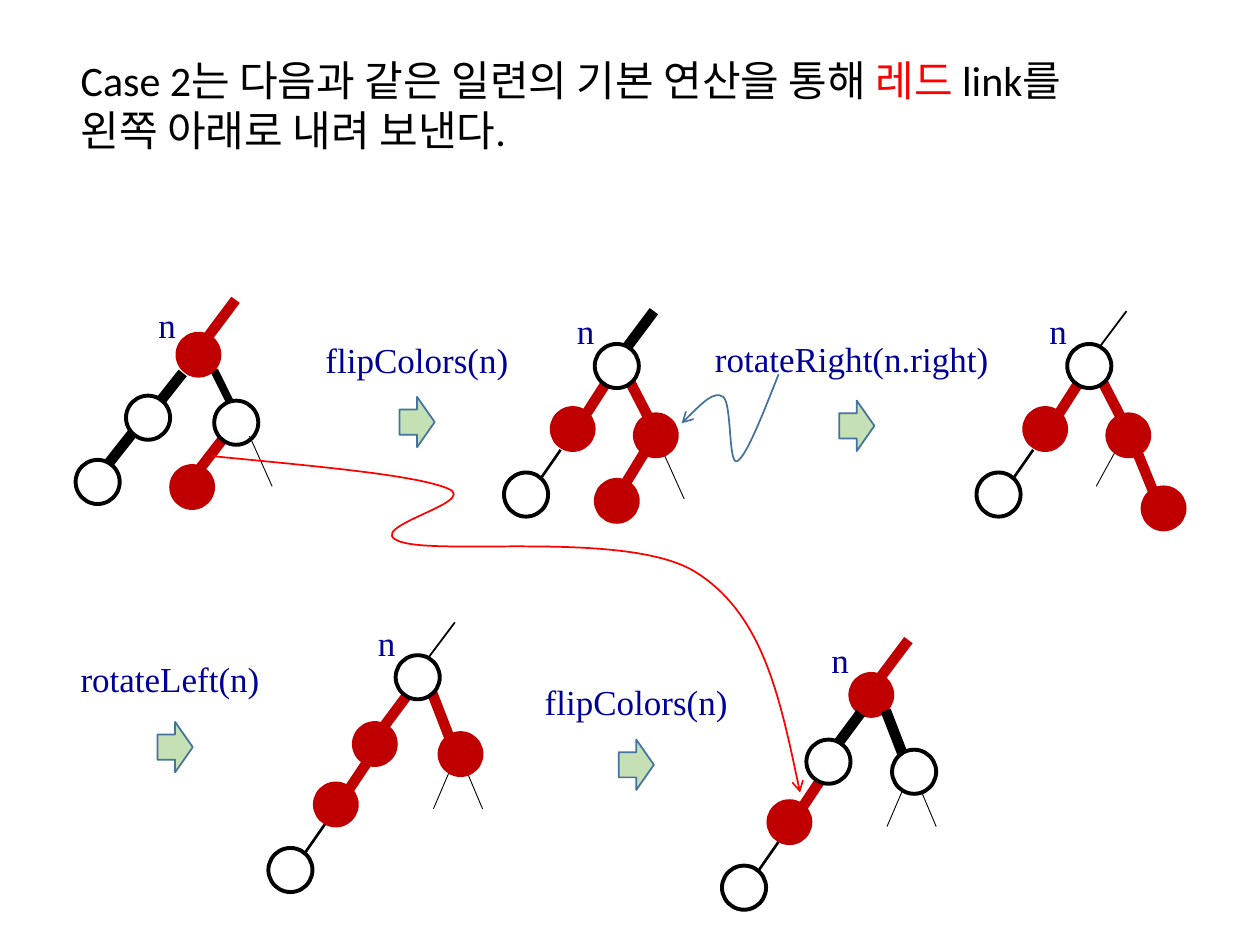
from lxml.etree import SubElement as Sub
from pptx import Presentation
from pptx.dml.color import RGBColor
from pptx.enum.shapes import MSO_CONNECTOR as Link, MSO_SHAPE as Form
from pptx.enum.text import MSO_ANCHOR as Anchor, MSO_AUTO_SIZE as Auto, PP_ALIGN as Align
from pptx.oxml.ns import qn
from pptx.util import Inches, Pt

RED, BLACK, WHITE, BLUE, NAVY = "C00000", "000000", "FFFFFF", "43739E", "000099"
NODES = {"red": (RED, RED, 1), "white": (WHITE, BLACK, 2.25)}
EDGES = {"red": (RED, 6), "bold": (BLACK, 6), "mid": (BLACK, 4.5),
         "thin": (BLACK, 1.5), "stem": (BLACK, 1), "hair": (BLACK, 0.5)}
TERM = {"name": "Times New Roman", "size": Pt(20)}
HEAD = {"name": "Calibri", "size": Pt(24)}


def tint(code):
    return RGBColor.from_string(code)


def apply(item, look):
    for key, value in look.items():
        setattr(item, key, value)


def stroke(line, code, width):
    line.color.rgb = tint(code)
    line.width = Pt(width)


def write(para, text, look, code):
    run = para.add_run()
    run.text = text
    apply(run.font, look)
    run.font.color.rgb = tint(code)


def box(shapes, x, y, w, text, wrap=True):
    frame = shapes.add_textbox(Inches(x), Inches(y), Inches(w), Inches(0.44)).text_frame
    apply(frame, {"word_wrap": wrap, "auto_size": Auto.SHAPE_TO_FIT_TEXT})
    para = frame.paragraphs[0]
    para.alignment = Align.CENTER if wrap else Align.LEFT
    write(para, text, TERM, NAVY)


def solid(shapes, form, x, y, w, h, fill, code, width):
    shape = shapes.add_shape(form, Inches(x), Inches(y), Inches(w), Inches(h))
    shape.shadow.inherit = False
    shape.fill.solid()
    shape.fill.fore_color.rgb = tint(fill)
    stroke(shape.line, code, width)


def node(shapes, x, y, kind):
    solid(shapes, Form.OVAL, x, y, 0.35, 0.35, *NODES[kind])


def edge(shapes, x, y, ends, kind):
    a, b, c, d = ends
    line = shapes.add_connector(Link.STRAIGHT, Inches(x + a), Inches(y + b),
                                Inches(x + c), Inches(y + d))
    stroke(line.line, *EDGES[kind])
    Sub(line._element.spPr, qn("a:effectLst"))


def curve(shapes, points, code):
    first, *rest = [(Inches(x), Inches(y)) for x, y in points]
    form = shapes.build_freeform(*first, scale=1.0)
    form.add_line_segments(rest, close=False)
    shape = form.convert_to_shape()
    shape.shadow.inherit = False
    shape.fill.background()
    stroke(shape.line, code, 1)
    steps = list(shape._element.iter(qn("a:lnTo")))
    for i in range(0, len(steps), 3):
        bend = steps[i]
        bend.tag = qn("a:cubicBezTo")
        for step in steps[i + 1:i + 3]:
            bend.append(step[0])
            step.getparent().remove(step)
    Sub(shape.line._get_or_add_ln(), qn("a:tailEnd"), type="arrow")


def tree(shapes, x, y, root, stem, edges, nodes, top=(), low=False, lift=0.32):
    edge(shapes, x, y, (0.23, 0.06, 0.47, -0.26), stem)
    if low:
        node(shapes, x, y, root)
    for ends, kind in edges:
        edge(shapes, x, y, ends, kind)
    if not low:
        node(shapes, x, y, root)
    for dx, dy, kind in nodes:
        node(shapes, x + dx, y + dy, kind)
    for ends, kind in top:
        edge(shapes, x, y, ends, kind)
    box(shapes, x - 0.24, y - lift, 0.34, "n", wrap=False)


def split(shapes, x, stem, edges, leaf):
    base = [((-0.07, 0.56, 0.09, 0.31), "red"), ((0.28, 0.3, 0.44, 0.61), "red"),
            ((-0.43, 1.07, -0.27, 0.84), "thin")]
    nodes = [(-0.72, 1.02, "white"), (0.31, 0.55, "red"), (-0.35, 0.5, "red"), leaf]
    tree(shapes, x, 2.73, "white", stem, base + edges, nodes)


def slant(shapes, x, y, root, stem, bar, child, low):
    edges = [((-0.48, 1.23, -0.2, 0.81), "red"), ((0.29, 0.3, 0.48, 0.79), bar),
             ((0.09, 0.32, -0.2, 0.71), bar), ((-0.72, 1.57, -0.56, 1.34), "thin"),
             ((0.53, 0.84, 0.69, 1.22), "hair"), ((0.45, 0.87, 0.3, 1.22), "hair")]
    nodes = [(-1.01, 1.53, "white"), (-0.34, 0.53, child),
             (-0.65, 1.01, "red"), (0.34, 0.61, child)]
    tree(shapes, x, y, root, stem, edges, nodes, low=low)


def step(shapes, x, y, w, text, left, top):
    box(shapes, x, y, w, text)
    solid(shapes, Form.RIGHT_ARROW, left, top, 0.28, 0.4, "C5E0B4", BLUE, 1)


def head(shapes):
    title = shapes.title
    apply(title, {"left": Inches(0.54), "top": Inches(0.38),
                  "width": Inches(8.63), "height": Inches(0.91)})
    frame = title.text_frame
    apply(frame, {"word_wrap": True, "auto_size": Auto.NONE, "vertical_anchor": Anchor.TOP})
    para = frame.paragraphs[0]
    para.alignment = Align.LEFT
    write(para, "Case 2는 다음과 같은 일련의 기본 연산을 통해 ", HEAD, BLACK)
    write(para, "레드 ", HEAD, "FF0000")
    write(para, "link를 왼쪽 아래로 내려 보낸다.", HEAD, BLACK)


def main():
    deck = Presentation()
    deck.slide_width, deck.slide_height = Inches(10), Inches(7.5)
    shapes = deck.slides.add_slide(deck.slide_layouts[5]).shapes
    head(shapes)
    tree(shapes, 1.4, 2.64, "red", "red",
         [((0.05, 0.32, -0.14, 0.56), "bold"), ((0.14, 1.14, 0.38, 0.83), "red"),
          ((0.3, 0.3, 0.42, 0.54), "mid"), ((-0.35, 0.8, -0.54, 1.04), "bold")],
         [(-0.8, 1.01, "white"), (0.3, 0.54, "white"),
          (-0.4, 0.5, "white"), (-0.05, 1.05, "red")],
         top=[((0.58, 0.82, 0.76, 1.22), "hair")], lift=0.28)
    split(shapes, 4.72, "bold",
          [((0.17, 1.23, 0.42, 0.82), "red"), ((0.53, 0.83, 0.71, 1.23), "hair")],
          (0, 1.07, "red"))
    split(shapes, 8.47, "stem",
          [((0.54, 0.82, 0.74, 1.31), "red"), ((0.4, 0.82, 0.23, 1.13), "hair")],
          (0.59, 1.13, "red"))
    slant(shapes, 3.14, 5.2, "white", "stem", "red", "red", False)
    slant(shapes, 6.74, 5.34, "red", "red", "bold", "white", True)
    for item in [(2.36, 2.64, 1.9, "flipColors(n)", 3.17, 3.15),
                 (5.54, 2.63, 2.44, "rotateRight(n.right)", 6.66, 3.18),
                 (0.13, 5.17, 2.44, "rotateLeft(n)", 1.25, 5.73),
                 (4.1, 5.35, 1.9, "flipColors(n)", 4.91, 5.87)]:
        step(shapes, *item)
    curve(shapes, [(1.68, 3.62), (2.5, 3.7), (3.31, 3.77), (3.56, 3.88),
                   (3.81, 3.99), (2.85, 4.19), (3.18, 4.3),
                   (3.51, 4.41), (4.99, 4.21), (5.52, 4.54),
                   (6.05, 4.87), (6.2, 5.58), (6.35, 6.29)], "FF0000")
    curve(shapes, [(6.18, 2.97), (6.05, 3.3), (5.92, 3.63), (5.85, 3.66),
                   (5.78, 3.69), (5.81, 3.2), (5.74, 3.15),
                   (5.67, 3.1), (5.54, 3.23), (5.41, 3.36)], BLUE)
    deck.save("out.pptx")


if __name__ == "__main__":
    main()
